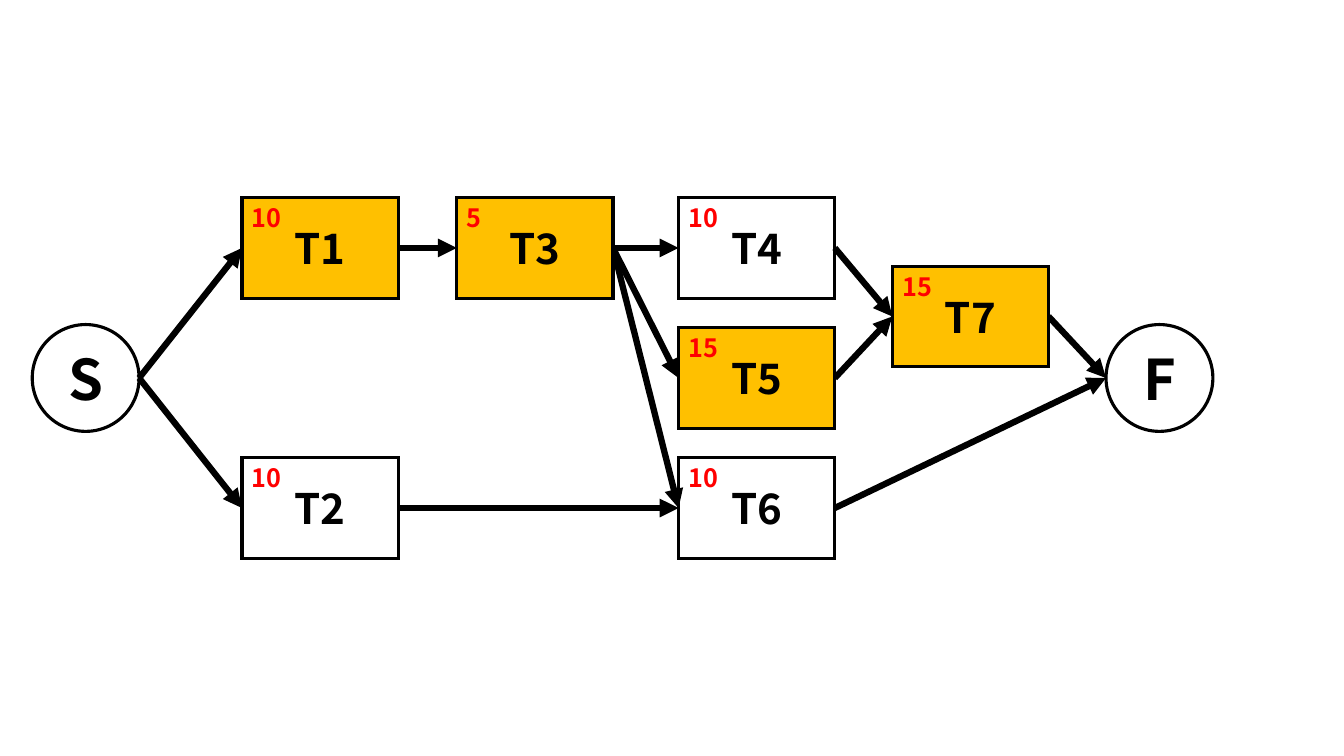
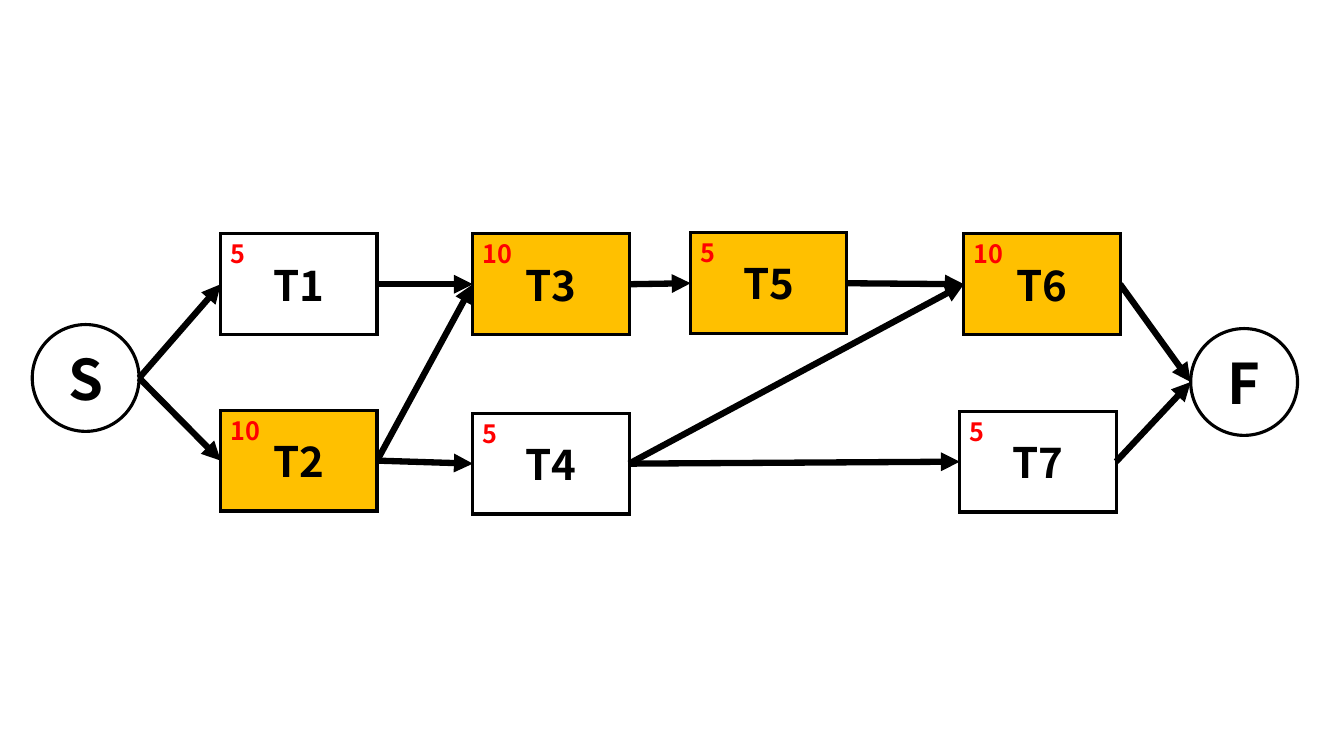
from dataclasses import dataclass

from lxml.etree import SubElement
from pptx import Presentation
from pptx.dml.color import RGBColor
from pptx.enum.shapes import MSO_CONNECTOR as Connector, MSO_SHAPE as Shape
from pptx.enum.text import MSO_ANCHOR as Anchor, MSO_AUTO_SIZE as AutoSize, PP_ALIGN as Align
from pptx.oxml.ns import qn
from pptx.util import Inches, Pt


@dataclass(frozen=True)
class Theme:
    """Colours, type and sizes shared by both networks."""
    font: str = "Noto Sans CJK KR"
    ink: RGBColor = RGBColor(0, 0, 0)
    critical: RGBColor = RGBColor(0xFF, 0xC0, 0)
    duration: RGBColor = RGBColor(0xFF, 0, 0)
    event_size: int = 40
    task_size: int = 30
    duration_size: int = 18
    outline: float = 2.25
    arrow: float = 4.5
    diameter: float = 1.06
    task_width: float = 1.55
    task_height: float = 1.0


@dataclass(frozen=True)
class Task:
    """One task: its name, duration, position and place on the critical path."""
    name: str
    duration: int
    left: float
    top: float
    critical: bool = False


@dataclass(frozen=True)
class Network:
    """Start and finish positions, tasks, and arrows as pairs of names."""
    start: tuple
    finish: tuple
    tasks: tuple
    arrows: tuple


THEME = Theme()
START = (0.32, 3.22)

NETWORKS = (
    Network(
        start=START,
        finish=(10.97, 3.22),
        tasks=(
            Task("T1", 10, 2.4, 1.96, True),
            Task("T2", 10, 2.4, 4.54),
            Task("T3", 5, 4.53, 1.96, True),
            Task("T4", 10, 6.73, 1.96),
            Task("T5", 15, 6.73, 3.25, True),
            Task("T6", 10, 6.73, 4.54),
            Task("T7", 15, 8.85, 2.64, True),
        ),
        arrows=(
            ("S", "T1"), ("S", "T2"), ("T1", "T3"), ("T3", "T4"),
            ("T3", "T5"), ("T3", "T6"), ("T2", "T6"), ("T4", "T7"),
            ("T5", "T7"), ("T6", "F"), ("T7", "F"),
        ),
    ),
    Network(
        start=START,
        finish=(11.81, 3.26),
        tasks=(
            Task("T1", 5, 2.19, 2.32),
            Task("T2", 10, 2.19, 4.07, True),
            Task("T3", 10, 4.69, 2.32, True),
            Task("T4", 5, 4.69, 4.1),
            Task("T5", 5, 6.85, 2.31, True),
            Task("T6", 10, 9.56, 2.32, True),
            Task("T7", 5, 9.52, 4.08),
        ),
        arrows=(
            ("S", "T1"), ("S", "T2"), ("T1", "T3"), ("T2", "T3"),
            ("T3", "T5"), ("T2", "T4"), ("T4", "T7"), ("T5", "T6"),
            ("T6", "F"), ("T7", "F"), ("T4", "T6"),
        ),
    ),
)


def write(box, text, *, size, color=THEME.ink, align=Align.LEFT, anchor=Anchor.TOP):
    """Put one bold line of text into a shape."""
    frame = box.text_frame
    frame.vertical_anchor = anchor
    para = frame.paragraphs[0]
    para.alignment = align
    span = para.add_run()
    span.text = text
    span.font.name = THEME.font
    span.font.size = Pt(size)
    span.font.bold = True
    span.font.color.rgb = color


def draw_line(shape, width):
    """Give a shape an ink line with mitred corners and return its XML."""
    shape.line.color.rgb = THEME.ink
    shape.line.width = Pt(width)
    line = shape.element.spPr.find(qn("a:ln"))
    SubElement(line, qn("a:miter"), lim="800000")
    return line


def add_node(page, kind, text, left, top, width, height, *, size, fill=None):
    """Add an outlined shape with centred text."""
    node = page.shapes.add_shape(kind, Inches(left), Inches(top), Inches(width), Inches(height))
    node.shadow.inherit = False
    if fill is None:
        node.fill.background()
    else:
        node.fill.solid()
        node.fill.fore_color.rgb = fill
    draw_line(node, THEME.outline)
    write(node, text, size=size, align=Align.CENTER, anchor=Anchor.MIDDLE)
    return node


def add_event(page, text, position):
    """Add a start or finish circle."""
    return add_node(page, Shape.OVAL, text, *position, THEME.diameter, THEME.diameter,
                    size=THEME.event_size)


def add_task(page, task):
    """Add a task box with its duration in the top left corner."""
    node = add_node(page, Shape.RECTANGLE, task.name, task.left, task.top,
                    THEME.task_width, THEME.task_height, size=THEME.task_size,
                    fill=THEME.critical if task.critical else None)
    text = str(task.duration)
    label = page.shapes.add_textbox(node.left, node.top,
                                    Inches(0.2 + 0.15 * len(text)), Inches(0.4))
    label.text_frame.word_wrap = False
    label.text_frame.auto_size = AutoSize.SHAPE_TO_FIT_TEXT
    write(label, text, size=THEME.duration_size, color=THEME.duration)
    return node


def glue(connector, tag, node, sites):
    """Attach a connector end to the site that suits the node's outline."""
    ends = connector.element.find(".//" + qn("p:cNvCxnSpPr"))
    site = sites[node.auto_shape_type]
    SubElement(ends, qn(tag), id=str(node.shape_id), idx=str(site))


def add_arrow(page, source, target):
    """Join the right side of one node to the left side of another, behind both."""
    arrow = page.shapes.add_connector(
        Connector.STRAIGHT,
        source.left + source.width, source.top + source.height // 2,
        target.left, target.top + target.height // 2)
    glue(arrow, "a:stCxn", source, {Shape.RECTANGLE: 3, Shape.OVAL: 6})
    glue(arrow, "a:endCxn", target, {Shape.RECTANGLE: 1, Shape.OVAL: 2})
    line = draw_line(arrow, THEME.arrow)
    SubElement(line, qn("a:tailEnd"), type="triangle")
    SubElement(arrow.element.spPr, qn("a:effectLst"))
    arrow.element.getparent().insert(2, arrow.element)


def add_network(deck, network):
    """Add a page that shows one task network."""
    page = deck.slides.add_slide(deck.slide_layouts[6])
    nodes = {
        "S": add_event(page, "S", network.start),
        "F": add_event(page, "F", network.finish),
    }
    for task in network.tasks:
        nodes[task.name] = add_task(page, task)
    for source, target in network.arrows:
        add_arrow(page, nodes[source], nodes[target])


def main():
    """Build the deck of task networks."""
    deck = Presentation()
    deck.slide_width = Inches(13.33)
    deck.slide_height = Inches(7.5)
    for network in NETWORKS:
        add_network(deck, network)
    deck.save("out.pptx")


main()
